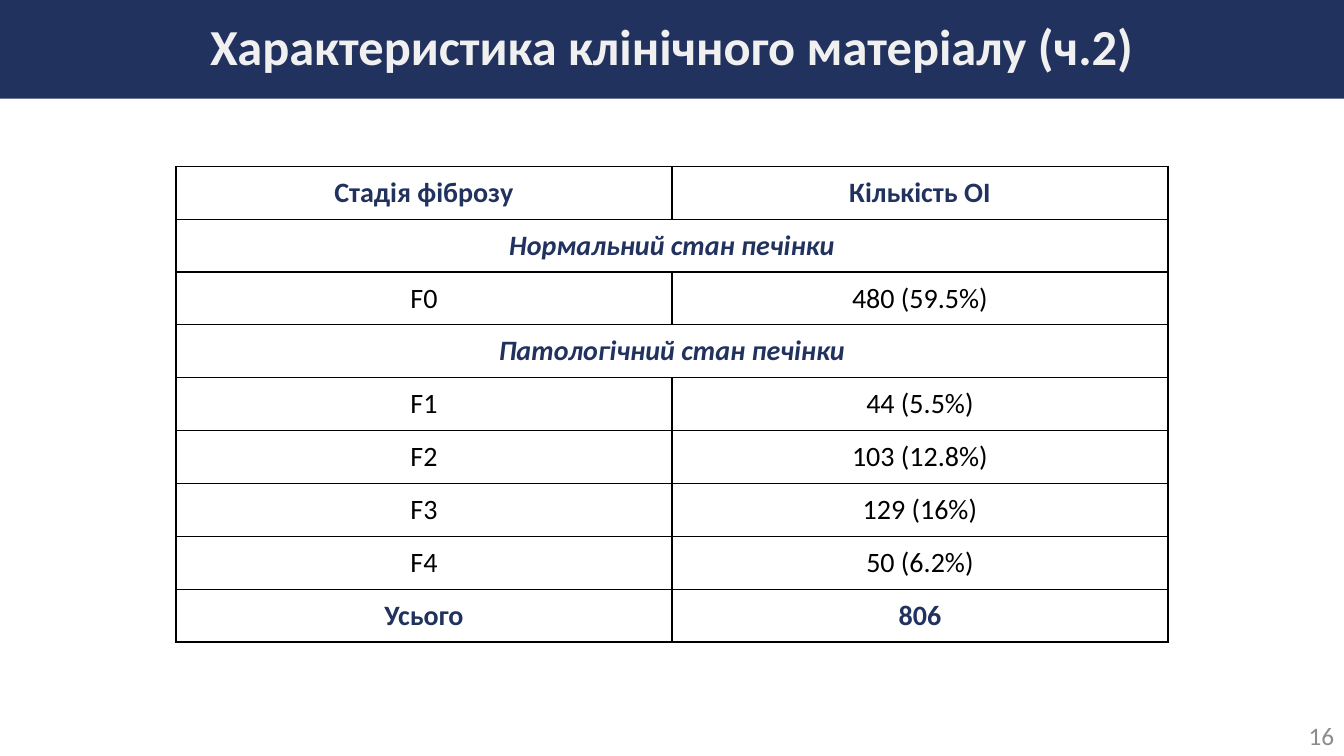
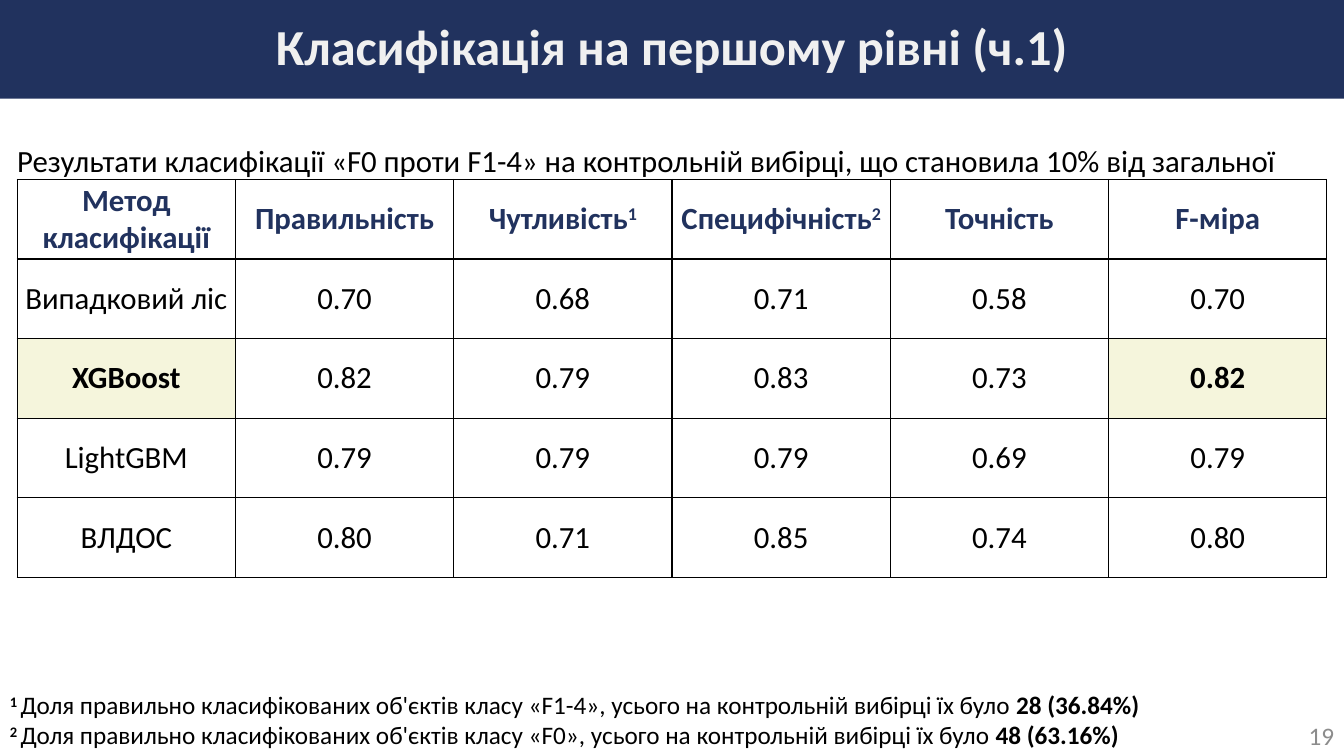
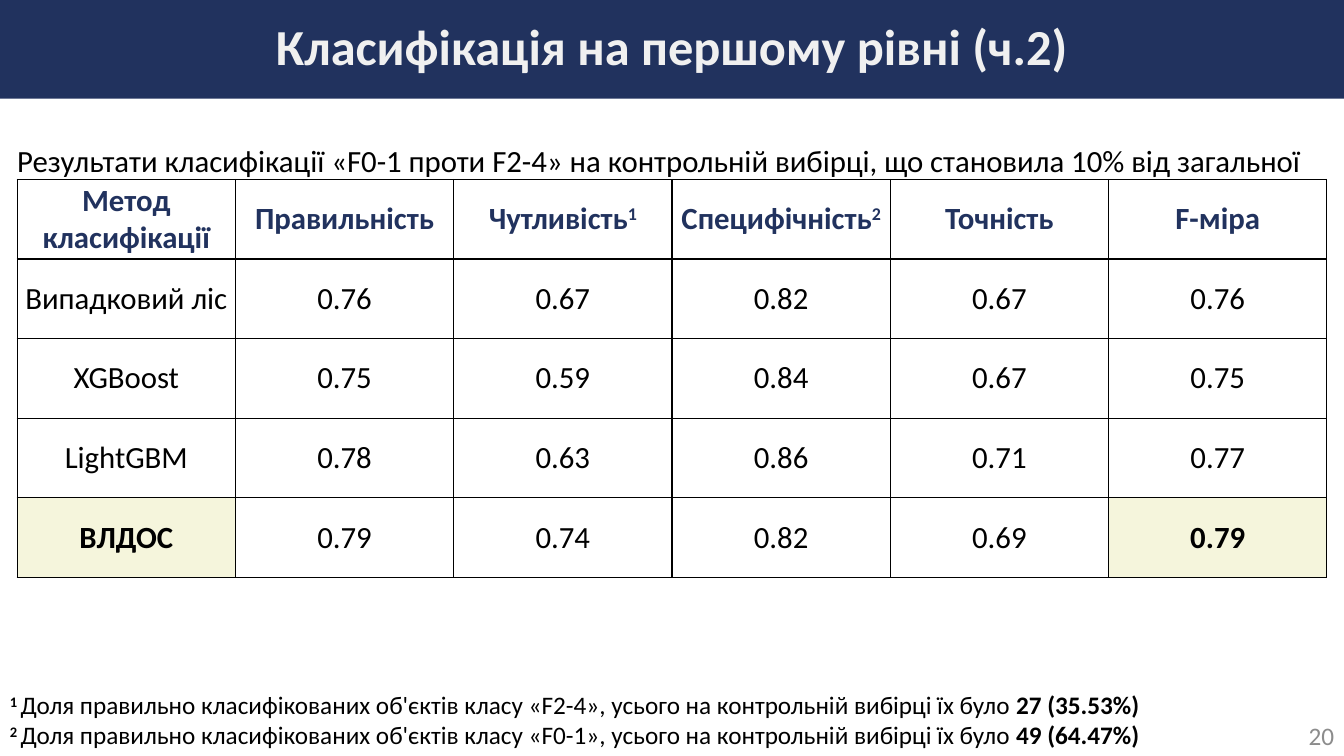
from lxml import etree
from pptx import Presentation, util as u
from pptx.dml.color import RGBColor
from pptx.enum import shapes, text
from pptx.oxml.ns import qn

# Shared style
W, H = 13.33, 7.5
BAND_H = 0.98
FONT = "Calibri"
NAVY, BLACK, GREY, PALE, BEIGE = "21325E", "000000", "8C8C8C", "F0F0F0", "F5F5DC"
LEFT, CENTER, RIGHT = text.PP_ALIGN.LEFT, text.PP_ALIGN.CENTER, text.PP_ALIGN.RIGHT
MIDDLE = text.MSO_ANCHOR.MIDDLE

# Score tables span the slide between equal margins
MARGIN, SCORE_TOP, SCORE_ROW, CAPTION_H = 0.17, 1.78, 0.79, 0.37
SCORE_HEAD = ["Метод класифікації", "Правильність", "Чутливість^1",
              "Специфічність^2", "Точність", "F-міра"]


def rgb(color):
    return RGBColor.from_string(color)


def style(p, size, color=BLACK, align=LEFT, bold=False, italic=False):
    p.alignment = align
    f = p.font
    f.name, f.size, f.bold, f.italic = FONT, u.Pt(size), bold, italic
    f.color.rgb = rgb(color)


def add_run(p, words, bold=None, raised=False):
    r = p.add_run()
    r.text = words
    if bold is not None:
        r.font.bold = bold
    if raised:
        r.font._element.set("baseline", "30000")


def add_label(s, box, size, color=BLACK, align=LEFT, words="", inset=True):
    """Add a text box and return its text frame."""
    tf = s.shapes.add_textbox(*map(u.Inches, box)).text_frame
    tf.word_wrap = True
    if not inset:
        tf.margin_left = tf.margin_right = tf.margin_top = tf.margin_bottom = 0
    if words:
        p = tf.paragraphs[0]
        style(p, size, color, align)
        add_run(p, words)
    return tf


def add_page(prs, title, number):
    """Add a slide with its page number and title band."""
    s = prs.slides.add_slide(prs.slide_layouts[6])
    tf = add_label(s, (W - 3, H - 0.4, 3, 0.4), 18, GREY, RIGHT, str(number))
    tf.vertical_anchor = MIDDLE

    band = s.shapes.add_shape(shapes.MSO_SHAPE.RECTANGLE, 0, 0,
                              u.Inches(W), u.Inches(BAND_H))
    band.shadow.inherit = False
    band.fill.solid()
    band.fill.fore_color.rgb = rgb(NAVY)
    band.line.fill.background()
    band.text_frame.vertical_anchor = MIDDLE
    p = band.text_frame.paragraphs[0]
    p.line_spacing = 0.9
    style(p, 36, PALE, CENTER, bold=True)
    add_run(p, title)
    return s


def add_borders(cell):
    tc_pr = cell._tc.get_or_add_tcPr()
    for side in ("a:lnL", "a:lnR", "a:lnT", "a:lnB"):
        ln = etree.SubElement(tc_pr, qn(side), w=str(u.Pt(1)))
        fill = etree.SubElement(ln, qn("a:solidFill"))
        etree.SubElement(fill, qn("a:srgbClr"), val=BLACK)


def add_grid(s, left, top, col_w, row_h, rows, inset):
    """Add a bordered table; return it with every cell still without text."""
    n_rows, n_cols = len(rows), len(rows[0])
    table = s.shapes.add_table(n_rows, n_cols, *map(u.Inches, (
        left, top, col_w * n_cols, row_h * n_rows))).table
    table.first_row = table.horz_banding = False
    for cell in table.iter_cells():
        add_borders(cell)
        cell.fill.background()
        cell.vertical_anchor = MIDDLE
        cell.margin_left = cell.margin_right = u.Inches(inset)
        cell.margin_top = cell.margin_bottom = 0
    return table


def fill_cell(cell, words, size, color=BLACK, bold=False, italic=False):
    """Write a cell; what follows ^ is raised."""
    p = cell.text_frame.paragraphs[0]
    style(p, size, color, CENTER, bold, italic)
    base, _, mark = words.partition("^")
    add_run(p, base)
    if mark:
        add_run(p, mark, raised=True)


def add_stage_table(s, rows):
    """Stage counts; a row whose second entry is None is a group heading."""
    col_w, row_h = 4.92, 4.72 / 9
    table = add_grid(s, W / 2 - col_w, 1.65, col_w, row_h, rows, 0.1)
    for i, row in enumerate(rows):
        group = row[1] is None
        strong = group or i in (0, len(rows) - 1)
        if group:
            table.cell(i, 0).merge(table.cell(i, 1))
        for j, words in enumerate(row):
            if words:
                fill_cell(table.cell(i, j), words, 20,
                          NAVY if strong else BLACK, strong, group)


def add_score_page(prs, title, number, classes, counts, scores, best):
    """Scores of each method for one pair of classes, best method marked."""
    negative, positive = classes
    s = add_page(prs, title, number)

    # Footnotes
    tf = add_label(s, (0, H - 0.71, 12.55, 0.71), 18)
    for i, (name, count) in enumerate(zip((positive, negative), counts)):
        p = tf.add_paragraph() if i else tf.paragraphs[0]
        style(p, 18)
        add_run(p, f"{i + 1} ", bold=True, raised=True)
        add_run(p, f"Доля правильно класифікованих об'єктів класу «{name}», "
                   "усього на контрольній вибірці їх було ")
        add_run(p, count, bold=True)

    # Scores
    rows = [SCORE_HEAD] + [[name, *values.split()] for name, values in scores.items()]
    width = W - 2 * MARGIN
    table = add_grid(s, MARGIN, SCORE_TOP, width / len(SCORE_HEAD), SCORE_ROW, rows, 0.07)
    for i, row in enumerate(rows):
        for j, words in enumerate(row):
            cell = table.cell(i, j)
            marked = row[0] == best and j in (0, len(row) - 1)
            fill_cell(cell, words, 22, BLACK if i else NAVY, i == 0 or marked)
            if marked:
                cell.fill.solid()
                cell.fill.fore_color.rgb = rgb(BEIGE)

    # Caption
    add_label(s, (MARGIN, SCORE_TOP - CAPTION_H, width, CAPTION_H), 22, inset=False,
              words=f"Результати класифікації «{negative} проти {positive}» на "
                    "контрольній вибірці, що становила 10% від загальної")


def main():
    prs = Presentation()
    prs.slide_width, prs.slide_height = u.Inches(W), u.Inches(H)

    s = add_page(prs, "Характеристика клінічного матеріалу (ч.2)", 16)
    add_stage_table(s, [
        ("Стадія фіброзу", "Кількість ОІ"),
        ("Нормальний стан печінки", None),
        ("F0", "480 (59.5%)"),
        ("Патологічний стан печінки", None),
        ("F1", "44 (5.5%)"),
        ("F2", "103 (12.8%)"),
        ("F3", "129 (16%)"),
        ("F4", "50 (6.2%)"),
        ("Усього", "806"),
    ])

    add_score_page(
        prs, "Класифікація на першому рівні (ч.1)", 19,
        ("F0", "F1-4"), ("28 (36.84%)", "48 (63.16%)"),
        {"Випадковий ліс": "0.70 0.68 0.71 0.58 0.70",
         "XGBoost": "0.82 0.79 0.83 0.73 0.82",
         "LightGBM": "0.79 0.79 0.79 0.69 0.79",
         "ВЛДОС": "0.80 0.71 0.85 0.74 0.80"}, "XGBoost")

    add_score_page(
        prs, "Класифікація на першому рівні (ч.2)", 20,
        ("F0-1", "F2-4"), ("27 (35.53%)", "49 (64.47%)"),
        {"Випадковий ліс": "0.76 0.67 0.82 0.67 0.76",
         "XGBoost": "0.75 0.59 0.84 0.67 0.75",
         "LightGBM": "0.78 0.63 0.86 0.71 0.77",
         "ВЛДОС": "0.79 0.74 0.82 0.69 0.79"}, "ВЛДОС")

    prs.save("out.pptx")


if __name__ == "__main__":
    main()
